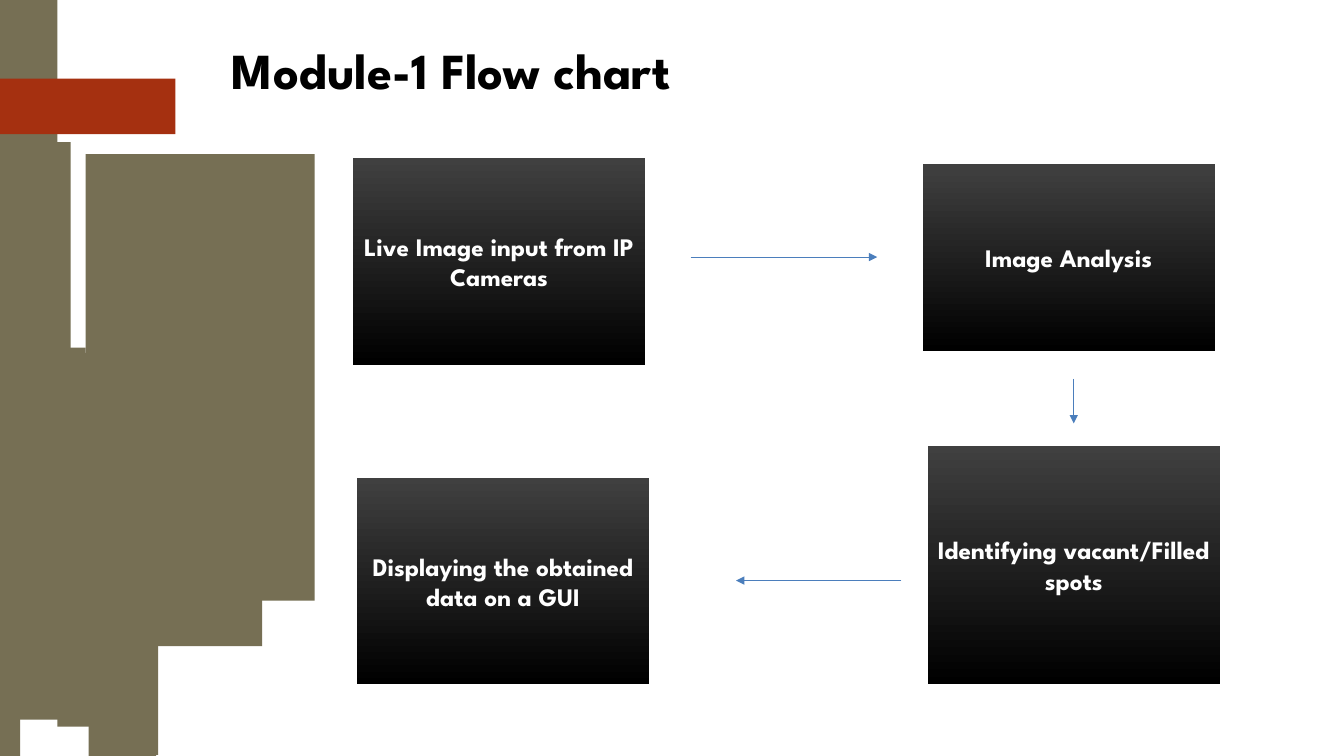
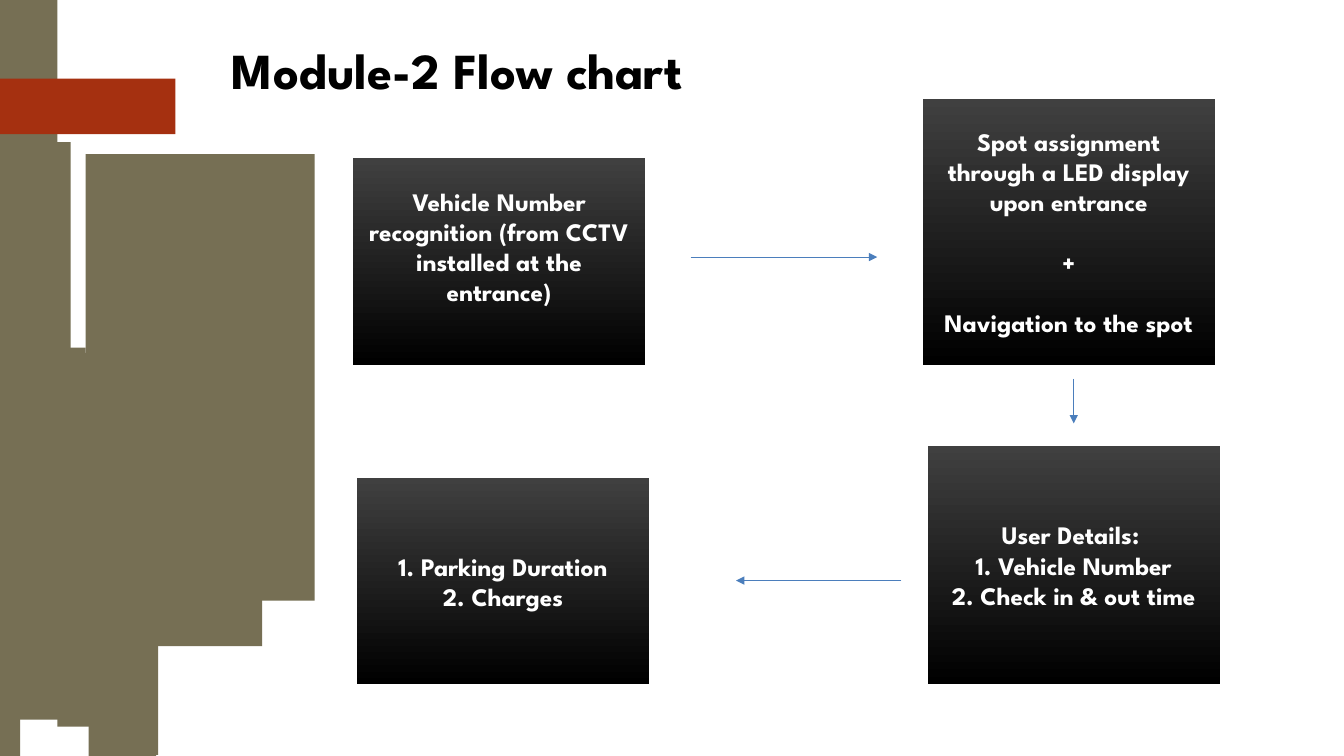
import pptx
import pptx.dml.color
import pptx.enum.shapes
import pptx.enum.text
import pptx.oxml
import pptx.util

RGBColor = pptx.dml.color.RGBColor
OLIVE = RGBColor(0x76, 0x6F, 0x54)
RUST = RGBColor(0xA5, 0x30, 0x10)
CHARCOAL = RGBColor(0x40, 0x40, 0x40)
BLACK = RGBColor(0, 0, 0)
WHITE = RGBColor(255, 255, 255)
BLUE = RGBColor(0x4B, 0x7E, 0xBC)

PX = 9144
FONT = "League Spartan"
LINE_PT = 21.7
LINE_PX = 30

SLIDE_SIZE = (1333, 750)
TITLE_AREA = (230, 3, 975, 140)
RUST_BAR = (0, 78, 174, 55)
SKYLINE = [
    (0, 282, 11, 68), (14, 345, 71, 254), (88, 596, 67, 155),
    (105, 711, 19, 40), (11, 350, 90, 364), (85, 153, 227, 443),
    (101, 714, 18, 37), (93, 683, 26, 68), (3, 0, 54, 481),
    (60, 472, 46, 173), (110, 641, 47, 108), (57, 477, 60, 244),
    (51, 141, 19, 331), (122, 719, 15, 31), (55, 449, 9, 56),
    (106, 344, 154, 297), (117, 722, 13, 28), (106, 645, 15, 74),
    (106, 631, 4, 25), (110, 691, 23, 58), (0, 0, 20, 750),
]

TOP_LEFT = (350, 157, 290, 205)
BOTTOM_RIGHT = (920, 442, 290, 237)
BOTTOM_LEFT = (354, 474, 290, 205)
ARROWS = [(685, 255, 870, 255), (1065, 376, 1065, 420), (894, 576, 730, 576)]

FLOWS = [
    {
        "title": "Module-1 Flow chart",
        "steps": [
            {"area": TOP_LEFT, "lines": ["Live Image input from IP Cameras"]},
            {"area": (915, 163, 290, 185), "lines": ["Image Analysis"]},
            {"area": BOTTOM_RIGHT, "lines": ["Identifying vacant/Filled spots"]},
            {"area": BOTTOM_LEFT, "lines": ["Displaying the obtained data on a GUI"]},
        ],
    },
    {
        "title": "Module-2 Flow chart",
        "steps": [
            {"area": TOP_LEFT, "raise": LINE_PX,
             "lines": ["Vehicle Number recognition (from CCTV installed at the entrance)"]},
            {"area": (915, 98, 290, 264), "gap": LINE_PT,
             "lines": ["Spot assignment through a LED display upon entrance",
                       "+", "Navigation to the spot"]},
            {"area": BOTTOM_RIGHT,
             "lines": ["User Details: ", "1. Vehicle Number", "2. Check in & out time"]},
            {"area": BOTTOM_LEFT, "lines": ["1. Parking Duration", "2. Charges"]},
        ],
    },
]


def emu(lengths):
    return [length * PX for length in lengths]


def apply(target, values):
    for name, value in values.items():
        setattr(target, name, value)


def format_frame(frame, insets):
    sides = ("margin_left", "margin_top", "margin_right", "margin_bottom")
    apply(frame, dict(zip(sides, emu(insets))))
    apply(frame, {"word_wrap": True, "auto_size": pptx.enum.text.MSO_AUTO_SIZE.NONE,
                  "vertical_anchor": pptx.enum.text.MSO_ANCHOR.MIDDLE})


def write_para(para, text, size, color, align, **spacing):
    span = para.add_run()
    span.text = text
    apply(span.font, {"name": FONT, "size": pptx.util.Pt(size), "bold": True})
    span.font.color.rgb = color
    apply(para, {"alignment": align, **spacing})


def add_rectangle(page, area):
    shape = page.shapes.add_shape(pptx.enum.shapes.MSO_SHAPE.RECTANGLE, *emu(area))
    shape.shadow.inherit = False
    shape.line.fill.background()
    return shape


def add_block(page, area, color):
    block = add_rectangle(page, area)
    block.fill.solid()
    block.fill.fore_color.rgb = color


def add_band(page):
    for area in SKYLINE:
        add_block(page, area, OLIVE)
    add_block(page, RUST_BAR, RUST)


def add_title(page, text):
    title = page.shapes.title
    apply(title, dict(zip(("left", "top", "width", "height"), emu(TITLE_AREA))))
    format_frame(title.text_frame, (0, 0, 0, 0))
    write_para(title.text_frame.paragraphs[0], text, 36, BLACK,
               pptx.enum.text.PP_ALIGN.LEFT, line_spacing=0.9)


def add_step(page, step):
    box = add_rectangle(page, step["area"])
    box.fill.gradient()
    box.fill.gradient_angle = 270
    for stop, color in zip(box.fill.gradient_stops, (CHARCOAL, BLACK)):
        stop.color.rgb = color
    frame = box.text_frame
    format_frame(frame, (10, 5, 10, 5 + step.get("raise", 0)))
    for index, line in enumerate(step["lines"]):
        para = frame.add_paragraph() if index else frame.paragraphs[0]
        gap = step.get("gap", 0) if index else 0
        write_para(para, line, 18, WHITE, pptx.enum.text.PP_ALIGN.CENTER,
                   space_before=pptx.util.Pt(gap))


def add_arrow(page, ends):
    arrow = page.shapes.add_connector(pptx.enum.shapes.MSO_CONNECTOR.STRAIGHT, *emu(ends))
    arrow.line.color.rgb = BLUE
    arrow.line.width = pptx.util.Pt(0.75)
    head = pptx.oxml.parse_xml(
        '<a:tailEnd xmlns:a="http://schemas.openxmlformats.org/drawingml/2006/main" type="triangle"/>')
    arrow.line._get_or_add_ln().append(head)
    effects = pptx.oxml.parse_xml(
        '<a:effectLst xmlns:a="http://schemas.openxmlformats.org/drawingml/2006/main"/>')
    arrow._element.spPr.append(effects)


def main():
    deck = pptx.Presentation()
    deck.slide_width, deck.slide_height = emu(SLIDE_SIZE)
    for flow in FLOWS:
        page = deck.slides.add_slide(deck.slide_layouts[5])
        add_band(page)
        add_title(page, flow["title"])
        for step in flow["steps"]:
            add_step(page, step)
        for ends in ARROWS:
            add_arrow(page, ends)
    deck.save("out.pptx")


if __name__ == "__main__":
    main()
